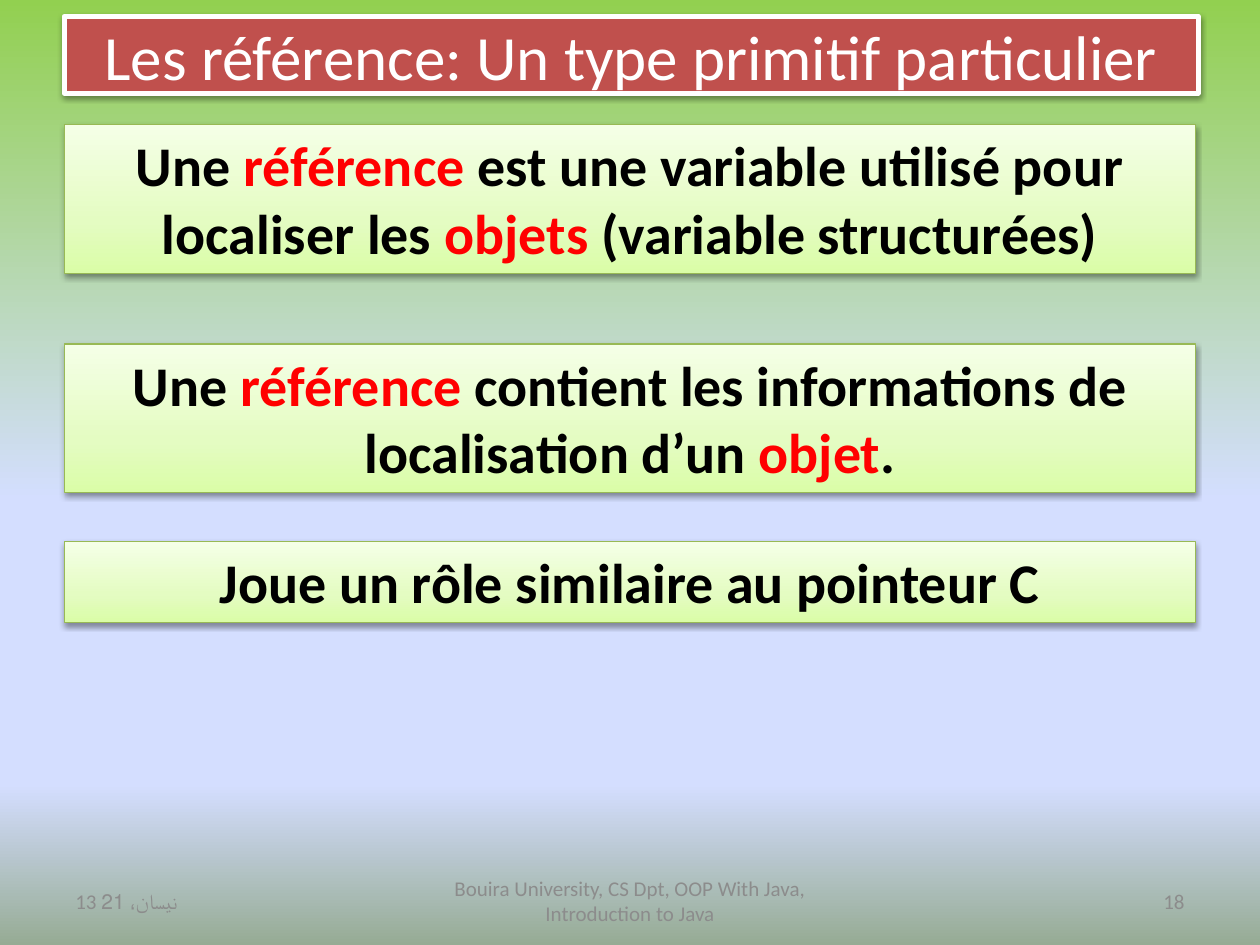
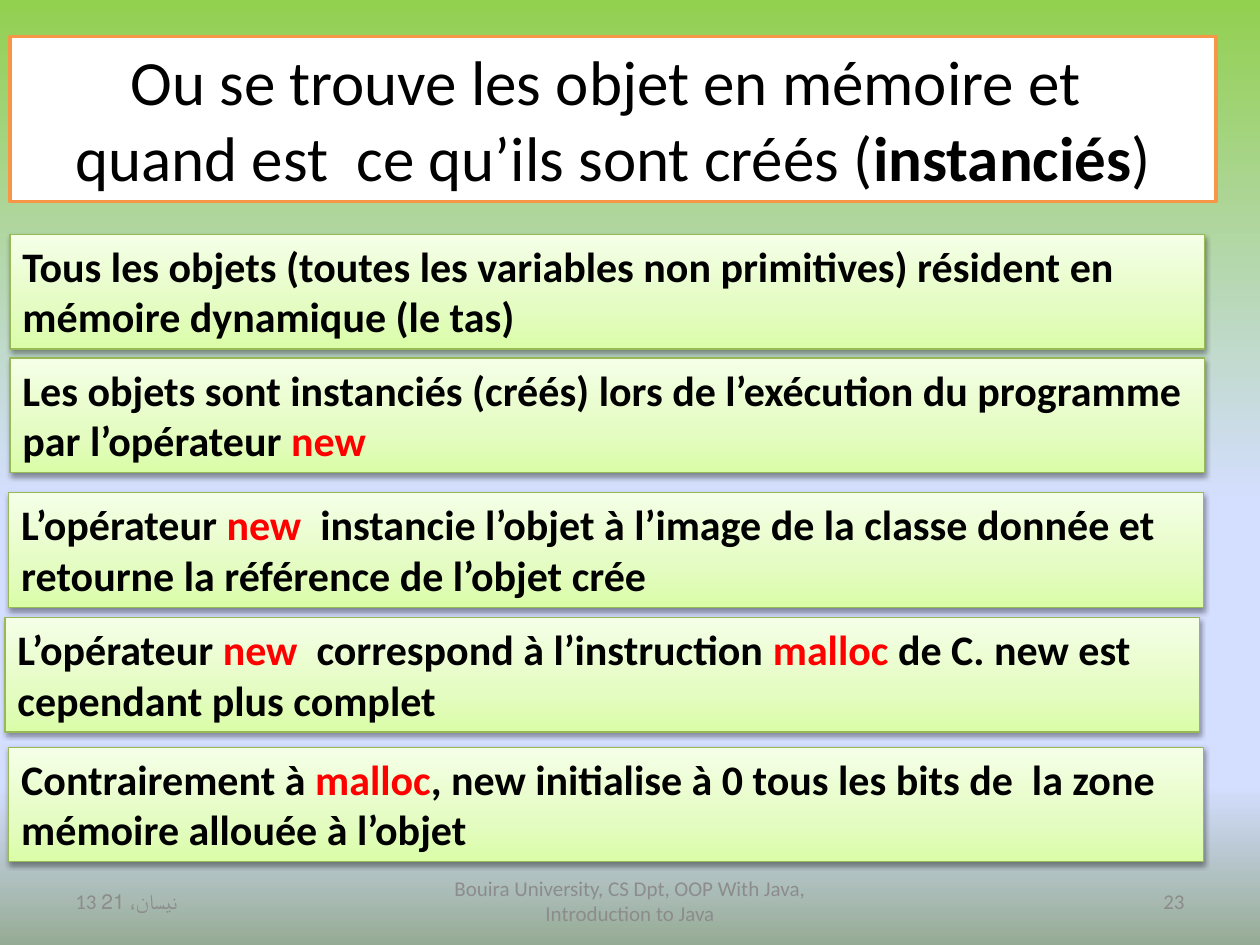
from collections import namedtuple

from lxml.etree import SubElement as add_element
from pptx import Presentation
from pptx.dml.color import RGBColor
from pptx.enum.shapes import MSO_SHAPE as Preset
from pptx.enum.text import MSO_ANCHOR as Anchor, PP_ALIGN as Align
from pptx.oxml.ns import qn
from pptx.util import Inches, Pt

COLUMNS, ROWS = 100, 75
WIDTH, HEIGHT = Inches(10), Inches(7.5)
FONT = "Calibri"
COLORS = {
    "text": "000000", "white": "FFFFFF", "accent": "FF0000", "footer": "8C8C8C",
    "band": "C0504D", "frame": "F79646", "panel_line": "98B955",
}
PAGE_GRADIENT = [(0, "92D050"), (53, "D4DEFF"), (83, "D4DEFF"), (100, "96AB94")]
PANEL_GRADIENT = [(0, "DAFDA7"), (35, "E4FCC2"), (100, "F5FFE7")]
DATE = "13 نيسان، 21"
COURSE = "Bouira University, CS Dpt, OOP With Java, Introduction to Java"

# Left, top, width and height in grid columns and rows.
Box = namedtuple("Box", "left top width height")


def inside(box, left, top, width, height):
    return Box(box.left + left, box.top + top, width, height)


def to_lengths(box):
    column, row = WIDTH / COLUMNS, HEIGHT / ROWS
    return (round(box.left * column), round(box.top * row),
            round(box.width * column), round(box.height * row))


def color(name):
    return RGBColor.from_string(COLORS[name])


def paint_gradient(owner, fill, stops, angle):
    """Give the fill any number of (percent, hex) stops."""
    fill.gradient()
    gradient = owner.element.find(".//" + qn("a:gradFill"))
    for child in list(gradient):
        gradient.remove(child)
    stop_list = add_element(gradient, qn("a:gsLst"))
    for percent, value in stops:
        stop = add_element(stop_list, qn("a:gs"), pos=str(percent * 1000))
        add_element(stop, qn("a:srgbClr"), val=value)
    add_element(gradient, qn("a:lin"), ang=str(angle * 60000), scaled="0")


def add_shadow(shape):
    effects = shape.element.spPr.find(qn("a:effectLst"))
    outer = add_element(effects, qn("a:outerShdw"), blurRad=str(Pt(3.1)), dist=str(Pt(1.6)),
                        dir="5400000", rotWithShape="0")
    shade = add_element(outer, qn("a:srgbClr"), val="000000")
    add_element(shade, qn("a:alpha"), val="38000")


def write(shape, text, size, align, anchor=Anchor.TOP, ink="text", bold=False,
          marked_ink=None):
    """Write one paragraph a line; parts between bars are bold, in marked_ink."""
    frame = shape.text_frame
    frame.word_wrap = True
    frame.vertical_anchor = anchor
    for index, line in enumerate(text.split("\n")):
        para = frame.add_paragraph() if index else frame.paragraphs[0]
        para.alignment = align
        for part, words in enumerate(line.split("|")):
            if not words:
                continue
            marked = part % 2 == 1
            span = para.add_run()
            span.text = words
            span.font.name = FONT
            span.font.size = Pt(size)
            span.font.bold = bold or marked
            span.font.color.rgb = color(marked_ink if marked and marked_ink else ink)


def add_rectangle(page, box, line, line_width, fill=None):
    shape = page.shapes.add_shape(Preset.RECTANGLE, *to_lengths(box))
    shape.shadow.inherit = False
    if fill:
        shape.fill.solid()
        shape.fill.fore_color.rgb = color(fill)
    shape.line.color.rgb = color(line)
    shape.line.width = Pt(line_width)
    return shape


def add_title_band(page, box, text):
    band = add_rectangle(page, box, "white", 3, "band")
    add_shadow(band)
    write(band, text, 36, Align.CENTER, Anchor.MIDDLE, "white")


def add_title_frame(page, box, text):
    frame = add_rectangle(page, box, "frame", 2, "white")
    write(frame, text, 36, Align.CENTER)


def add_panels(page, box, panels, size, align):
    """Place green panels, each (left, top, height, text) within the box."""
    for left, top, height, text in panels:
        panel = add_rectangle(page, inside(box, left, top, box.width, height),
                              "panel_line", 0.75)
        paint_gradient(panel, panel.fill, PANEL_GRADIENT, 270)
        add_shadow(panel)
        write(panel, text, size, align, bold=True, marked_ink="accent")


def add_footer(page, box, number):
    side, middle = 23.3, 31.7
    for left, width, text, align in (
        (0, side, DATE, Align.LEFT),
        ((box.width - middle) / 2, middle, COURSE, Align.CENTER),
        (box.width - side, side, str(number), Align.RIGHT),
    ):
        label = page.shapes.add_textbox(*to_lengths(inside(box, left, 0, width, box.height)))
        write(label, text, 12, align, Anchor.MIDDLE, "footer")


def add_page(deck, number):
    page = deck.slides.add_slide(deck.slide_layouts[6])
    paint_gradient(page, page.background.fill, PAGE_GRADIENT, 90)
    add_footer(page, Box(5, 69.5, 90, 4), number)
    return page


def add_reference_page(deck):
    page = add_page(deck, 18)
    add_title_band(page, Box(5.1, 1.3, 90, 6.1),
                   "Les référence: Un type primitif particulier")
    add_panels(page, Box(5.1, 9.9, 89.8, 39.5), [
        (0, 0, 11.8, "Une |référence| est une variable utilisé pour localiser les "
                     "|objets |(variable structurées)"),
        (0, 17.4, 11.8, "Une |référence| contient les informations de localisation "
                        "d’un |objet|."),
        (0, 33.1, 6.4, "Joue un rôle similaire au pointeur C"),
    ], 32, Align.CENTER)


def add_memory_page(deck):
    page = add_page(deck, 23)
    add_title_frame(page, Box(0.8, 2.9, 95.7, 13.1),
                    "Ou se trouve les objet en mémoire et \n"
                    "quand est  ce qu’ils sont créés (|instanciés|)")
    height = 9.1
    add_panels(page, Box(0.4, 18.6, 94.8, 49.8), [
        (0.4, 0, height, "Tous les objets (toutes les variables non primitives) résident "
                         "en mémoire dynamique (le tas)"),
        (0.4, 9.8, height, "Les objets sont instanciés (créés) lors de l’exécution du "
                           "programme  par l’opérateur |new|"),
        (0.3, 20.5, height, "L’opérateur |new  |instancie l’objet à l’image de la classe "
                            "donnée et retourne la référence de l’objet crée"),
        (0, 30.4, height, "L’opérateur |new  |correspond à l’instruction |malloc| de C. "
                          "new est cependant plus complet"),
        (0.3, 40.7, height, "Contrairement à |malloc|, new initialise à 0 tous les bits "
                            "de  la zone mémoire allouée à l’objet"),
    ], 24, Align.LEFT)


def main():
    deck = Presentation()
    deck.slide_width, deck.slide_height = WIDTH, HEIGHT
    add_reference_page(deck)
    add_memory_page(deck)
    deck.save("out.pptx")


if __name__ == "__main__":
    main()
